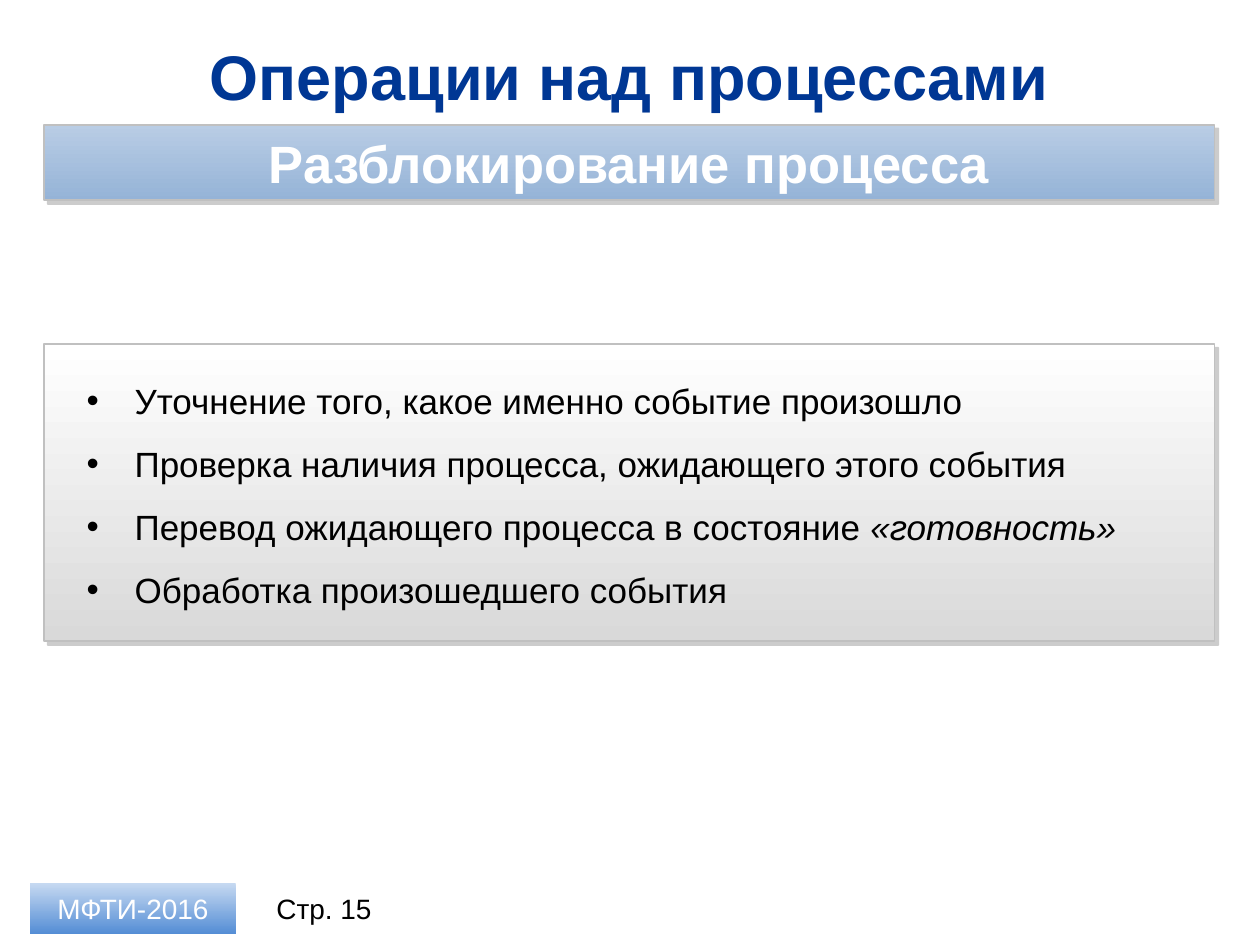
from lxml import etree
from pptx import Presentation
from pptx.dml.color import RGBColor
from pptx.enum import shapes, text
from pptx.oxml import parse_xml
from pptx.oxml.ns import nsdecls, qn
from pptx.util import Pt

FONT = "Arial"
LEFT, WIDTH = 25.2, 668.9
STEPS = [
    [("Уточнение того, какое именно событие произошло", False)],
    [("Проверка наличия процесса, ожидающего этого события", False)],
    [("Перевод ожидающего процесса в состояние ", False), ("«готовность»", True)],
    [("Обработка произошедшего события", False)],
]


def color(value):
    return RGBColor.from_string(value)


def add_run(paragraph, words, size=20, fill="000000", bold=False, italic=False):
    run = paragraph.add_run()
    run.text = words
    font = run.font
    font.name, font.size = FONT, Pt(size)
    font.bold, font.italic = bold, italic
    font.color.rgb = color(fill)


def write_centered(shape, words, **style):
    frame = shape.text_frame
    frame.word_wrap = True
    frame.vertical_anchor = text.MSO_ANCHOR.MIDDLE
    frame.margin_top = frame.margin_bottom = Pt(3)
    paragraph = frame.paragraphs[0]
    paragraph.alignment = text.PP_ALIGN.CENTER
    add_run(paragraph, words, **style)


def add_box(slide, left, top, width, height):
    return slide.shapes.add_textbox(Pt(left), Pt(top), Pt(width), Pt(height))


def add_panel(slide, left, top, width, height, upper, lower, framed=True):
    """Rectangle with a downward gradient, optionally outlined and shadowed."""
    panel = slide.shapes.add_shape(
        shapes.MSO_SHAPE.RECTANGLE, Pt(left), Pt(top), Pt(width), Pt(height))
    panel.shadow.inherit = False
    panel.fill.gradient()
    panel.fill.gradient_angle = 270
    for stop, shade, position in zip(panel.fill.gradient_stops, (upper, lower), (0, 1)):
        stop.color.rgb = color(shade)
        stop.position = position
    if framed:
        panel.line.color.rgb = color("C0C0C0")
        panel.line.width = Pt(1)
        effects = panel.element.spPr.find(qn("a:effectLst"))
        effects.append(parse_xml(
            f'<a:outerShdw {nsdecls("a")} blurRad="0" dist="{Pt(3)}" dir="2700000"'
            ' algn="ctr" rotWithShape="0"><a:srgbClr val="808080">'
            '<a:alpha val="40000"/></a:srgbClr></a:outerShdw>'))
    else:
        panel.line.fill.background()
    return panel


def add_bullets(slide, left, top, width, height, items, indent=27.36, gap=12):
    frame = add_box(slide, left, top, width, height).text_frame
    frame.word_wrap = True
    for index, runs in enumerate(items):
        paragraph = frame.paragraphs[0] if index == 0 else frame.add_paragraph()
        if index:
            paragraph.space_before = Pt(gap)
        props = paragraph._p.get_or_add_pPr()
        props.set("marL", str(Pt(indent)))
        props.set("indent", str(-Pt(indent)))
        etree.SubElement(props, qn("a:buFont"), typeface=FONT)
        etree.SubElement(props, qn("a:buChar"), char="•")
        for words, italic in runs:
            add_run(paragraph, words, italic=italic)


def main():
    deck = Presentation()
    deck.slide_width, deck.slide_height = Pt(720), Pt(540)
    slide = deck.slides.add_slide(deck.slide_layouts[6])

    # Title
    title = add_box(slide, LEFT, 18.7, WIDTH, 49)
    write_centered(title, "Операции над процессами", size=36, fill="003794", bold=True)

    # Footer
    page = add_box(slide, 146.2, 504.7, 77.8, 28.8)
    write_centered(page, "Стр. 15", size=16)
    course = add_panel(slide, 17.3, 504.7, 117.4, 28.8, "C6D9F1", "558ED5", framed=False)
    write_centered(course, "МФТИ-2016", size=16, fill="FFFFFF")

    # Operation heading
    heading = add_panel(slide, LEFT, 71.3, WIDTH, 43.2, "B9CDE5", "95B3D7")
    write_centered(heading, "Разблокирование процесса", size=30, fill="FFFFFF", bold=True)

    # Steps of the operation
    add_panel(slide, LEFT, 196.6, WIDTH, 169.9, "FFFFFF", "D9D9D9")
    add_bullets(slide, 42.5, 213.1, 629.3, 140.4, STEPS)

    deck.save("out.pptx")


if __name__ == "__main__":
    main()
